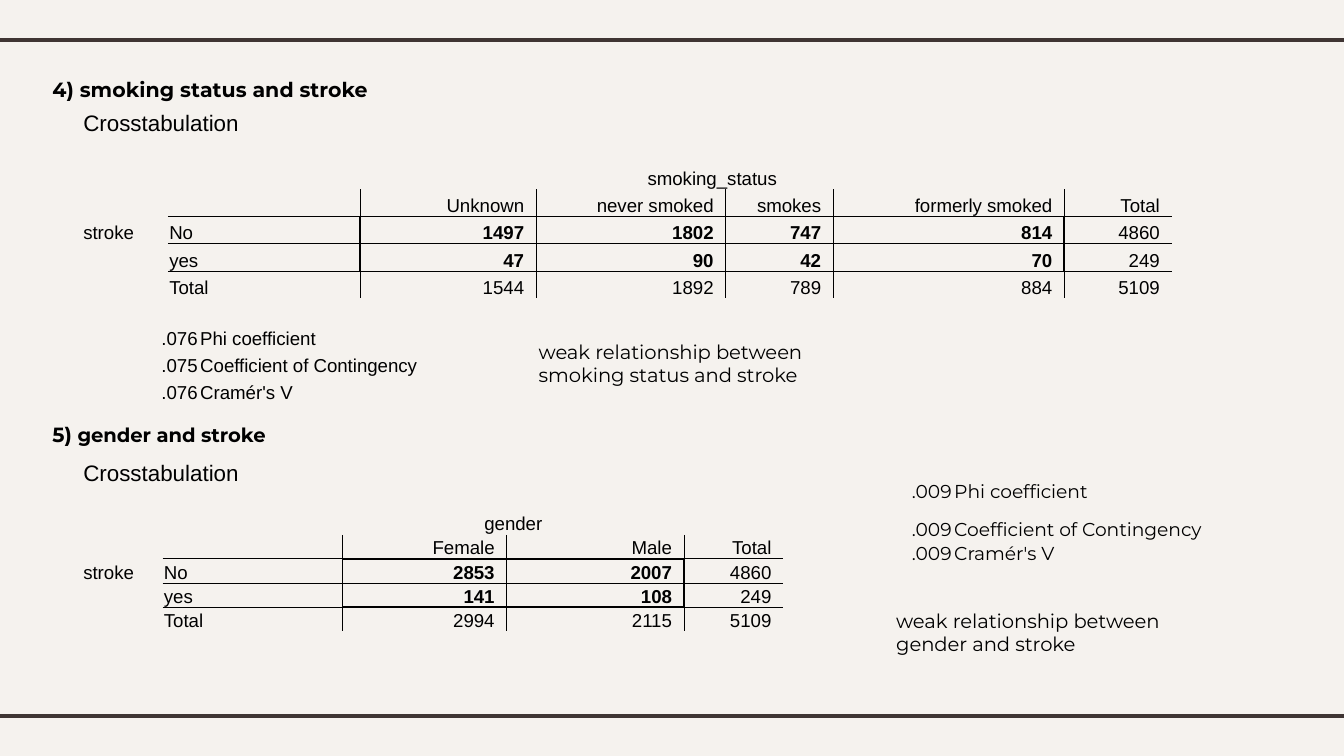
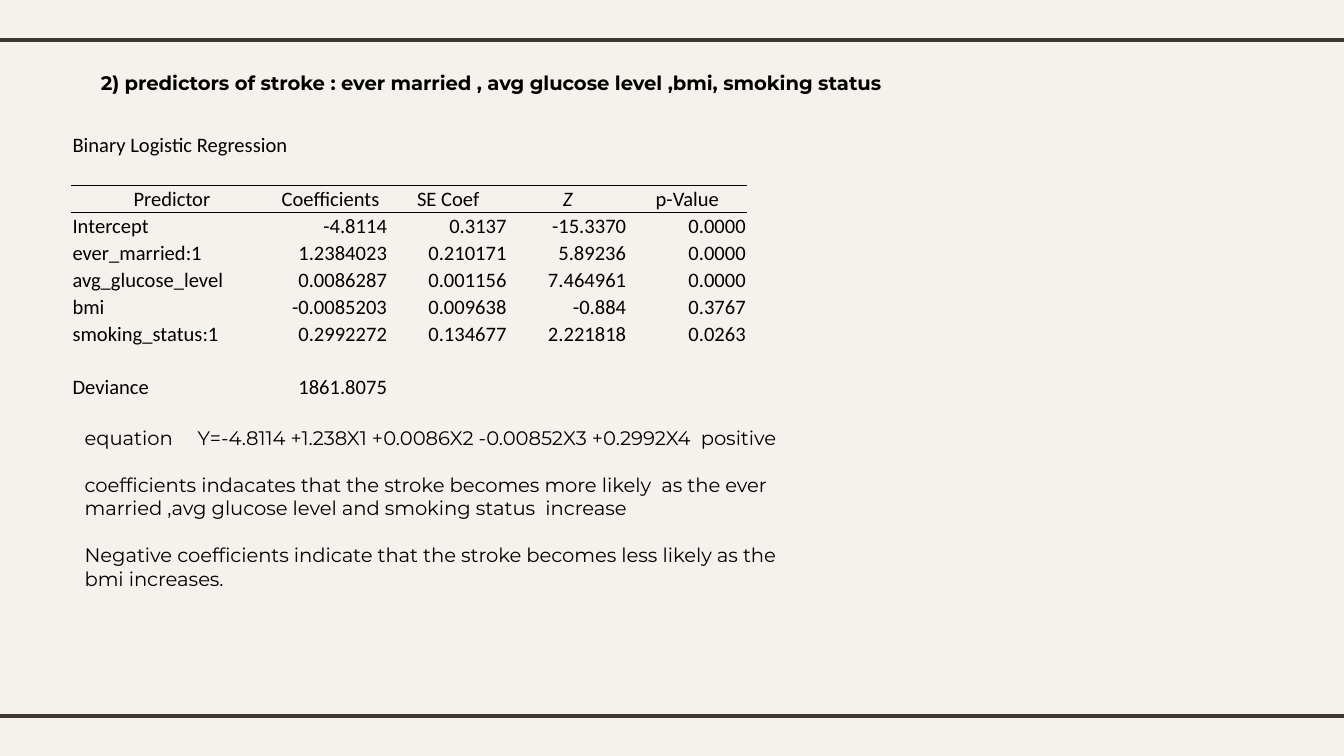
"""Build two slides of stroke statistics with crosstabs and a regression table."""
from collections import defaultdict
from lxml import etree
from pptx import Presentation
from pptx.dml.color import RGBColor as RGB
from pptx.enum.shapes import MSO_CONNECTOR as Link
from pptx.enum.text import MSO_ANCHOR as Anchor, MSO_AUTO_SIZE as Fit, PP_ALIGN as Align
from pptx.oxml import parse_xml
from pptx.oxml.ns import nsdecls, qn
from pptx.util import Inches, Pt

HUES = {"paper": "F5F2EE", "rule": "3F3533", "ink": "000000"}
PLAIN = "{2D5ABB26-0587-4C30-8999-92F81FD0307C}"
MONT = {"name": "Montserrat", "size": 10.5}
ARIAL = {"name": "Arial", "size": 10}
INSETS = ("margin_left", "margin_top", "margin_right", "margin_bottom")
RIGHT, MID = {"align": Align.RIGHT}, {"align": Align.CENTER}
STATS = ("Phi coefficient", "Coefficient of Contingency", "Cramér's V")
INK = f'<a:solidFill><a:srgbClr val="{HUES["ink"]}"/></a:solidFill>'


def write(para, text, look):
    run = para.add_run()
    run.text = text
    run.font.color.rgb = RGB.from_string(HUES["ink"])
    para.alignment = look.get("align", Align.LEFT)
    for key in ("name", "size", "bold", "italic"):
        if key in look:
            setattr(run.font, key, Pt(look[key]) if key == "size" else look[key])


def grid(slide, spot, cols, rows, cells, base, edges=(), spans=(), pad=0.01):
    box = [Inches(n) for n in (*spot, sum(cols), sum(rows))]
    table = slide.shapes.add_table(len(rows), len(cols), *box).table
    table.first_row = table.horz_banding = False
    table._tbl.tblPr.find(qn("a:tableStyleId")).text = PLAIN
    for items, sizes, key in ((table.columns, cols, "width"), (table.rows, rows, "height")):
        for item, size in zip(items, sizes):
            setattr(item, key, Inches(size))
    lines = defaultdict(dict)
    for row, col, side, wide in edges:
        lines[row, col][side] = wide
        if side == "R":
            lines[row, col + 1]["L"] = wide
        else:
            lines[row + 1, col]["T"] = wide
    for row in range(len(rows)):
        for col in range(len(cols)):
            cell = table.cell(row, col)
            text, look = cells.get((row, col), ("", {}))
            look = {**base, **look}
            gap = pad if look.get("align") == Align.RIGHT else 0.01
            for key, size in zip(INSETS, (0.01, 0.01, gap, 0)):
                setattr(cell, key, Inches(size))
            cell.vertical_anchor = Anchor.BOTTOM
            para = cell.text_frame.paragraphs[0]
            if text:
                write(para, text, look)
            else:
                etree.SubElement(para._p, qn("a:endParaRPr"), sz=str(int(look["size"] * 100)))
            props = cell._tc.get_or_add_tcPr()
            for side in "LRTB":
                wide = lines[row, col].get(side, 0)
                fill = INK if wide else "<a:noFill/>"
                props.append(parse_xml(
                    f'<a:ln{side} {nsdecls("a")} w="{Pt(wide)}">{fill}</a:ln{side}>'))
            cell.fill.background()
    for row, start, stop in spans:
        table.cell(row, start).merge(table.cell(row, stop))


deck = Presentation()
deck.slide_width, deck.slide_height = Inches(10), Inches(10 * 9 / 16)
master = deck.slide_master
master.background.fill.solid()
master.background.fill.fore_color.rgb = RGB.from_string(HUES["paper"])

pages = [
    ("4) smoking status and stroke", 11, (0.29, 0.47, 9.61, 0.4), (0.29, 3.04, 5, 0.4),
     [[("5)", 11), (" gender and stroke", 10.5)]]),
    ("2) predictors of stroke : ever married , avg glucose level ,bmi, smoking status",
     10.5, (0.65, 0.43, 9.16, 0.4), (0.53, 3.07, 5.67, 1.92),
     [[("equation\tY=-4.8114 +1.238X1 +0.0086X2 -0.00852X3 +0.2992X4  positive", 10.5)],
      [("coefficients indacates that the stroke becomes more likely  as the ever married "
        ",avg glucose level and smoking status  increase", 10.5)],
      [("Negative coefficients indicate that the stroke becomes less likely as the bmi "
        "increases.", 10.5)]]),
]
for page, (head, size, top, low, paras) in enumerate(pages):
    slide = deck.slides.add_slide(deck.slide_layouts[1])
    parts = ((slide.shapes.title, top, [[(head, size)]]), (slide.placeholders[1], low, paras))
    for part, (shape, box, texts) in enumerate(parts):
        shape.left, shape.top, shape.width, shape.height = [Inches(n) for n in box]
        frame = shape.text_frame
        frame.word_wrap, frame.auto_size = True, Fit.NONE
        frame.vertical_anchor = Anchor.TOP
        for key in INSETS:
            setattr(frame, key, Inches(0.1))
        for num, runs in enumerate(texts):
            para = frame.add_paragraph() if num else frame.paragraphs[0]
            props = para._p.get_or_add_pPr()
            hang = Inches(0.84) if "\t" in runs[0][0] else 0
            props.set("marL", str(hang))
            props.set("indent", str(-hang))
            etree.SubElement(props, qn("a:buNone"))
            para.space_before = Pt(12.5 if num else 0)
            for text, points in runs:
                write(para, text, {**MONT, "size": points, "bold": page == 0 or part == 0})

first, second = deck.slides
for num, y in enumerate((0.3, 5.33), 20):
    rule = first.shapes.add_connector(
        Link.STRAIGHT, Inches(-0.08), Inches(y), Inches(10.08), Inches(y))
    rule.line.color.rgb = RGB.from_string(HUES["rule"])
    rule.line.width = Pt(2.25)
    etree.SubElement(rule._element.spPr, qn("a:effectLst"))
    rule._element.nvCxnSpPr.cNvPr.set("id", str(num))
    master.shapes._spTree.append(rule._element)

cross = [
    (0.79, "smoking_status", (0.64, 0.64, 0.79, 1.31, 1.41, 0.8, 1.72, 0.8),
     (0.22, 0.2, 0.2, 0.2, 0.2, 0.21, 0.2, 0.2),
     [("Unknown", "never smoked", "smokes", "formerly smoked", "Total"),
      ("1497", "1802", "747", "814", "4860"),
      ("47", "90", "42", "70", "249"),
      ("1544", "1892", "789", "884", "5109")]),
    (3.42, "gender", (0.6, 0.6, 0.74, 1.22, 1.32, 0.74, 1.61),
     (0.2, 0.18, 0.18, 0.17, 0.18, 0.17, 0.18, 0.12),
     [("Female", "Male", "Total"), ("2853", "2007", "4860"),
      ("141", "108", "249"), ("2994", "2115", "5109")]),
]
for y, name, cols, rows, data in cross:
    last = 2 + len(data[0])
    cells = {(0, 0): ("Crosstabulation", {"size": 12}), (2, 3): (name, MID),
             (4, 0): ("stroke", {})}
    for row, label in enumerate(("No", "yes", "Total"), 4):
        cells[row, 1] = (label, {})
    for row, vals in enumerate(data, 3):
        for col, val in enumerate(vals, 3):
            cells[row, col] = (val, {**RIGHT, "bold": row in (4, 5) and col < last})
    edges = [(row, col, "R", 1 if row in (4, 5) and col in (2, last - 1) else 0.5)
             for row in range(3, 7) for col in range(2, last)]
    edges += [(row, col, "B", 1 if row != 4 and 3 <= col < last else 0.5)
              for row in range(3, 6) for col in range(1, last + 1)]
    grid(first, (0.61, y), cols, rows, cells, ARIAL, edges,
         ((0, 0, 1), (2, 3, last - 1)), 0.09)

tests = [
    ((0.38, 2.42), (1.1, 1.18, 0.67), (0.14, 0.2, 0.2), 0, ARIAL, (".076", ".075", ".076")),
    ((5.79, 3.39), (1.3, 1.4, 0.79), (0.14, 0.14, 0.28, 0.14), 1, {**MONT, "size": 10},
     (".009",) * 3),
]
for spot, cols, rows, start, base, vals in tests:
    cells = {}
    for row, (val, stat) in enumerate(zip(vals, STATS), start):
        cells[row, 0], cells[row, 1] = (val, RIGHT), (stat, {})
    grid(first, spot, cols, rows, cells, base, spans=((start + 1, 1, 2),))

for text, box in (
        ("weak relationship between smoking status and stroke", (3.91, 2.48, 2.58, 0.45)),
        ("weak relationship between gender and stroke", (6.57, 4.48, 2.44, 0.45))):
    frame = first.shapes.add_textbox(*[Inches(n) for n in box]).text_frame
    frame.word_wrap = True
    write(frame.paragraphs[0], text, MONT)

model = [
    ("Predictor", "Coefficients", "SE Coef", "Z", "p-Value"),
    ("Intercept", "-4.8114", "0.3137", "-15.3370", "0.0000"),
    ("ever_married:1", "1.2384023", "0.210171", "5.89236", "0.0000"),
    ("avg_glucose_level", "0.0086287", "0.001156", "7.464961", "0.0000"),
    ("bmi", "-0.0085203", "0.009638", "-0.884", "0.3767"),
    ("smoking_status:1", "0.2992272", "0.134677", "2.221818", "0.0263"),
    (),
    ("Deviance", "1861.8075"),
]
cells = {(0, 0): ("Binary Logistic Regression", {})}
for row, vals in enumerate(model, 2):
    for col, val in enumerate(vals):
        look = MID if row == 2 else RIGHT if col else {}
        cells[row, col] = (val, {**look, "italic": val == "Z"})
edges = [(row, col, "B", 0.5) for row in (1, 2) for col in range(5)]
grid(second, (0.53, 0.98), (1.5, 0.86, 0.89, 0.89, 0.89), (0.2,) * 10, cells,
     {"name": "Calibri", "size": 11}, edges, ((0, 0, 1),))

deck.save("out.pptx")
